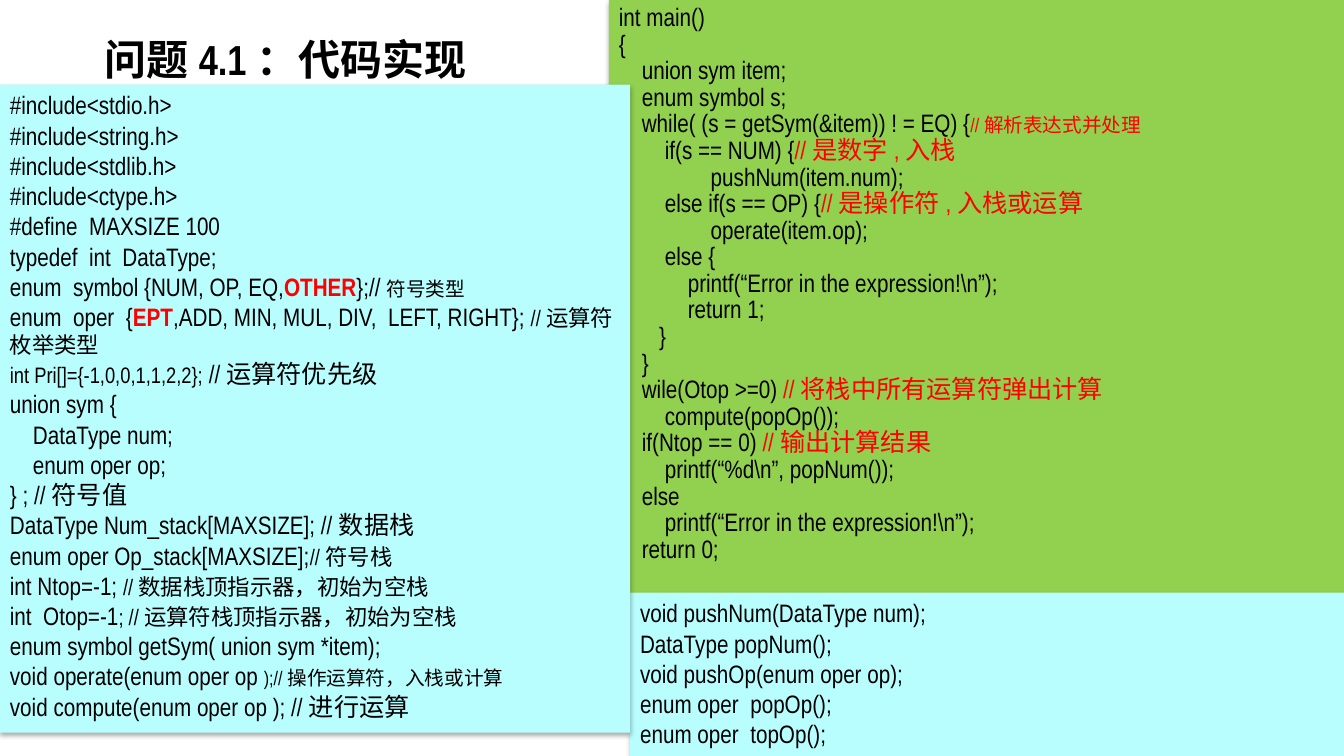
"""Builds the slide on the code for problem 4.1, an expression calculator."""
from lxml import etree
from pptx import Presentation
from pptx.dml.color import RGBColor
from pptx.enum.shapes import MSO_SHAPE
from pptx.enum.text import MSO_ANCHOR, PP_ALIGN
from pptx.oxml.ns import qn
from pptx.util import Inches, Pt

RECTANGLE = MSO_SHAPE.RECTANGLE
TOP, MIDDLE = MSO_ANCHOR.TOP, MSO_ANCHOR.MIDDLE
LEFT = PP_ALIGN.LEFT
BLACK, RED, GREEN, CYAN = "000000", "FF0000", "92D050", "B9FEFF"


def color(hex_code):
    return RGBColor.from_string(hex_code)


def add_span(para, text, size=18, ink=BLACK, bold=False):
    span = para.add_run()
    span.text = text
    span.font.color.rgb = color(ink)
    for name, value in {"name": "Arial Narrow", "size": Pt(size), "bold": bold}.items():
        setattr(span.font, name, value)


KEY = {"ink": RED, "bold": True}
SMALL, MEDIUM = {"size": 14}, {"size": 16}
NOTE, SMALL_NOTE = {"ink": RED}, {"ink": RED, "size": 14}

main_code = [
    "int main()",
    "{",
    "    union sym item;",
    "    enum symbol s;",
    [("    while( (s = getSym(&item)) ! = EQ) {", {}), ("//解析表达式并处理", SMALL_NOTE)],
    [("        if(s == NUM) {", {}), ("//是数字,入栈", NOTE)],
    "                pushNum(item.num);",
    [("        else if(s == OP) {", {}), ("//是操作符,入栈或运算", NOTE)],
    "                operate(item.op);",
    "        else {",
    r"            printf(“Error in the expression!\n”);",
    "            return 1;",
    "       }",
    "    }",
    [("    wile(Otop >=0)", {}), (" //将栈中所有运算符弹出计算", NOTE)],
    "        compute(popOp());",
    [("    if(Ntop == 0) ", {}), ("//输出计算结果", NOTE)],
    r"        printf(“%d\n”, popNum());",
    "    else",
    r"        printf(“Error in the expression!\n”);",
    "    return 0;",
    "}",
]
stack_functions = [
    "void pushNum(DataType num);",
    "DataType popNum();",
    "void pushOp(enum oper op);",
    "enum oper  popOp();",
    "enum oper  topOp();",
]
declarations = [
    "#include<stdio.h>",
    "#include<string.h>",
    "#include<stdlib.h>",
    "#include<ctype.h>",
    "#define  MAXSIZE 100",
    "typedef  int  DataType;",
    [("enum  symbol {NUM, OP, EQ,", {}), ("OTHER", KEY), ("};//", {}), ("符号类型", SMALL)],
    [("enum  oper  {", {}), ("EPT", KEY), (",ADD, MIN, MUL, DIV,  LEFT, RIGHT}; ", {}),
     ("//运算符枚举类型", MEDIUM)],
    [("int Pri[]={-1,0,0,1,1,2,2};", MEDIUM), (" //运算符优先级", {})],
    "union sym {",
    "    DataType num;",
    "    enum oper op;",
    "} ; //符号值",
    "DataType Num_stack[MAXSIZE]; //数据栈",
    [("enum oper Op_stack[MAXSIZE];", {}), ("//符号栈", MEDIUM)],
    [("int Ntop=-1; ", {}), ("//数据栈顶指示器，初始为空栈", MEDIUM)],
    [("int  Otop=-1", {}), ("; //运算符栈顶指示器，初始为空栈", MEDIUM)],
    "enum symbol getSym( union sym *item);",
    [("void operate(enum oper op ", {}), (");//操作运算符，入栈或计算", SMALL)],
    "void compute(enum oper op ); //进行运算",
]

deck = Presentation()
deck.slide_width, deck.slide_height = Inches(13.33), Inches(7.5)
page = deck.slides.add_slide(deck.slide_layouts[6])

title = page.shapes.add_textbox(Inches(0.94), Inches(0.17), Inches(11.94), Inches(0.92))
title.text_frame.word_wrap = True
title.text_frame.vertical_anchor = MIDDLE
title_para = title.text_frame.paragraphs[0]
title_para.line_spacing = 0.8
add_span(title_para, "问题4.1：代码实现", size=30, bold=True)

panels = [
    ((6.04, 0, 7.3, 5.96), GREEN, main_code, Pt(19)),
    ((6.25, 5.88, 7.09, 1.62), CYAN, stack_functions, None),
    ((0, 0.84, 6.25, 6.43), CYAN, declarations, None),
]
for place, fill, lines, spacing in panels:
    box = page.shapes.add_shape(RECTANGLE, *[Inches(length) for length in place])
    box.fill.solid()
    box.fill.fore_color.rgb = color(fill)
    box.line.fill.background()
    box.shadow.inherit = False
    effects = box.element.spPr.find(qn("a:effectLst"))
    shadow = etree.SubElement(effects, qn("a:outerShdw"), blurRad=str(Pt(3.5)),
                              dist=str(Pt(2.2)), dir="5400000", rotWithShape="0")
    shade = etree.SubElement(shadow, qn("a:srgbClr"), val=BLACK)
    etree.SubElement(shade, qn("a:alpha"), val="32000")
    frame = box.text_frame
    frame.word_wrap = True
    frame.vertical_anchor = TOP
    for number, line in enumerate(lines):
        para = frame.add_paragraph() if number else frame.paragraphs[0]
        para.alignment = LEFT
        para.line_spacing = spacing
        for text, look in [(line, {})] if isinstance(line, str) else line:
            add_span(para, text, **look)

deck.save("out.pptx")
